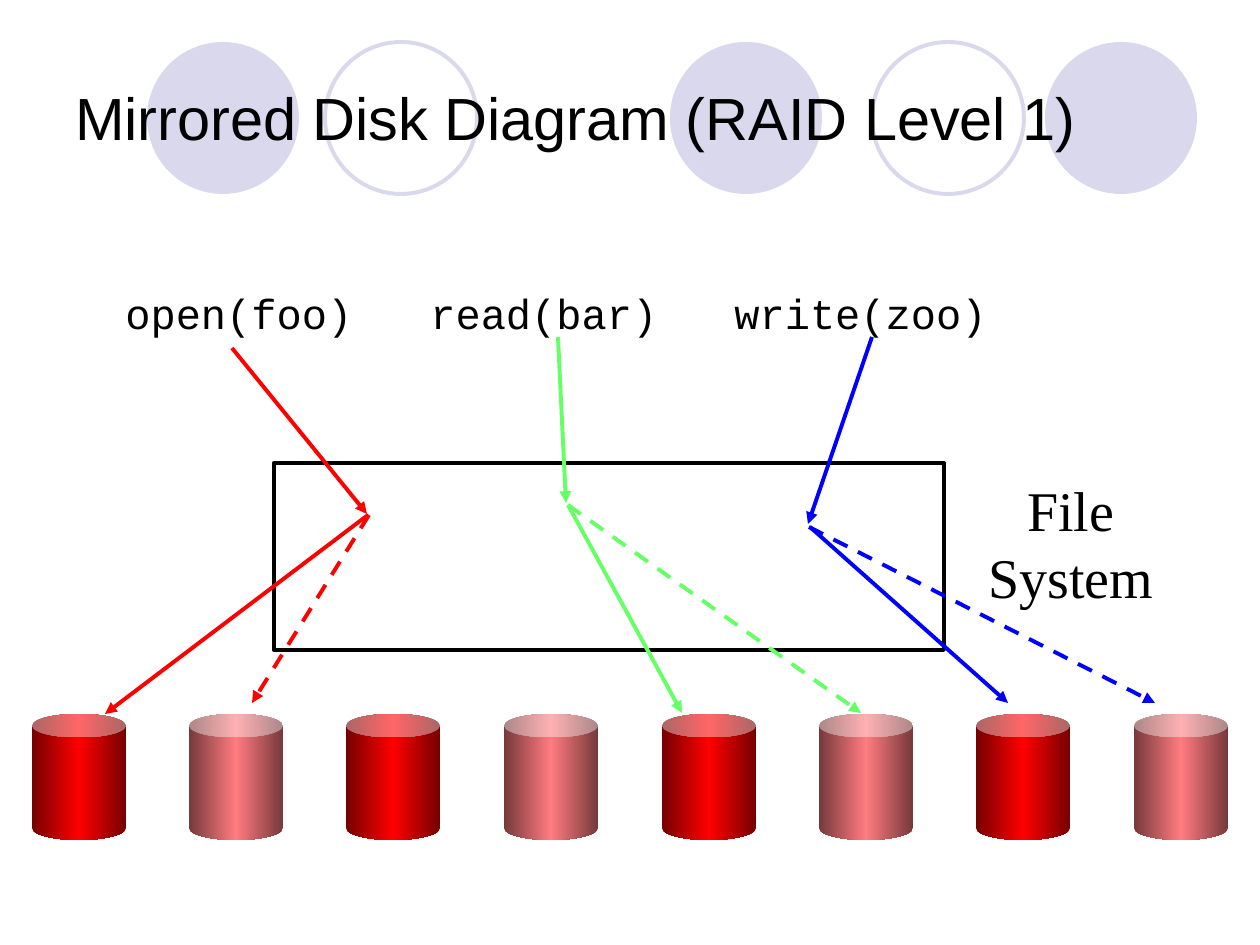
from typing import NamedTuple
from copy import deepcopy

from lxml import etree
from pptx import Presentation
from pptx.dml.color import RGBColor
from pptx.enum.dml import MSO_LINE
from pptx.enum.shapes import MSO_CONNECTOR, MSO_SHAPE
from pptx.enum.text import MSO_ANCHOR, MSO_AUTO_SIZE, PP_ALIGN
from pptx.oxml.ns import qn
from pptx.util import Pt

PX = 914400 / 126
OVAL, RECT, CAN = MSO_SHAPE.OVAL, MSO_SHAPE.RECTANGLE, MSO_SHAPE.CAN
STRAIGHT, DASH = MSO_CONNECTOR.STRAIGHT, MSO_LINE.DASH
LEFT, CENTER = PP_ALIGN.LEFT, PP_ALIGN.CENTER
TOP, MIDDLE = MSO_ANCHOR.TOP, MSO_ANCHOR.MIDDLE
FIT, FIXED = MSO_AUTO_SIZE.SHAPE_TO_FIT_TEXT, MSO_AUTO_SIZE.NONE
WEIGHT = Pt(2.25)

COLORS = {
    "black": "000000",
    "lilac": "D9D8EC",
    "red": "FF0000",
    "green": "66FF66",
    "blue": "0000FF",
    "maroon": "760000",
    "pink": "FF7C80",
    "plum": "76393B",
}


class Ring(NamedTuple):
    left: int
    solid: bool


class Call(NamedTuple):
    text: str
    left: int
    width: int


class Arrow(NamedTuple):
    color: str
    start: tuple[int, int]
    end: tuple[int, int]
    dashed: bool = False


RINGS = [Ring(670, True), Ring(1045, True), Ring(147, True),
         Ring(872, False), Ring(325, False)]

CALLS = [Call("open(foo)", 113, 252), Call("read(bar)", 418, 252),
         Call("write(zoo)", 722, 277)]

ARROWS = [
    Arrow("red", (232, 348), (367, 514)),
    Arrow("green", (558, 337), (566, 503)),
    Arrow("blue", (872, 337), (808, 524)),
    Arrow("red", (368, 515), (105, 714)),
    Arrow("red", (369, 515), (252, 703), True),
    Arrow("green", (568, 505), (682, 713)),
    Arrow("green", (568, 505), (861, 713), True),
    Arrow("blue", (809, 527), (1155, 703), True),
    Arrow("blue", (810, 527), (1008, 703)),
]


def px(size: int) -> int:
    return round(size * PX)


def tint(name: str) -> RGBColor:
    return RGBColor.from_string(COLORS[name])


def add_form(slide, kind, left: int, top: int, width: int, height: int,
             fill: str = "", line: str = ""):
    form = slide.shapes.add_shape(kind, px(left), px(top), px(width), px(height))
    form.shadow.inherit = False
    if fill:
        form.fill.solid()
        form.fill.fore_color.rgb = tint(fill)
    else:
        form.fill.background()
    if line:
        form.line.color.rgb = tint(line)
        form.line.width = WEIGHT
    else:
        form.line.fill.background()
    return form


def add_text(slide, text: str, *, left: int, top: int, width: int, height: int,
             font: str, size: int, align=LEFT, anchor=TOP, wrap: bool = False) -> None:
    box = slide.shapes.add_textbox(px(left), px(top), px(width), px(height))
    frame = box.text_frame
    frame.word_wrap = wrap
    frame.auto_size = FIXED if wrap else FIT
    frame.vertical_anchor = anchor
    frame.text = text
    for para in frame.paragraphs:
        para.alignment = align
        para.font.name = font
        para.font.size = Pt(size)
        para.font.color.rgb = tint("black")


def add_arrow(slide, arrow: Arrow) -> None:
    ends = [px(n) for n in arrow.start + arrow.end]
    link = slide.shapes.add_connector(STRAIGHT, *ends)
    link.line.color.rgb = tint(arrow.color)
    link.line.width = WEIGHT
    if arrow.dashed:
        link.line.dash_style = DASH
    props = link._element.spPr
    etree.SubElement(props.find(qn("a:ln")), qn("a:tailEnd"), type="triangle")
    etree.SubElement(props, qn("a:effectLst"))


def add_disk(slide, left: int, edge: str, core: str) -> None:
    disk = add_form(slide, CAN, left, 714, 94, 126)
    disk.adjustments[0] = 0.25
    disk.fill.gradient()
    disk.fill.gradient_angle = 0
    stops = disk._element.spPr.find(qn("a:gradFill")).find(qn("a:gsLst"))
    stops.append(deepcopy(stops[-1]))
    shades = [(0, edge), (0.5, core), (1, edge)]
    for stop, (place, name) in zip(disk.fill.gradient_stops, shades):
        stop.position = place
        stop.color.rgb = tint(name)


def main() -> None:
    deck = Presentation()
    deck.slide_width, deck.slide_height = px(1260), px(945)
    slide = deck.slides.add_slide(deck.slide_layouts[6])

    for ring in RINGS:
        look = {"fill" if ring.solid else "line": "lilac"}
        add_form(slide, OVAL, ring.left, 42, 152, 152, **look)
    add_text(slide, "Mirrored Disk Diagram (RAID Level 1)", left=63, top=38,
             width=1134, height=158, font="Arial", size=34, anchor=MIDDLE, wrap=True)

    add_form(slide, RECT, 274, 463, 670, 187, line="black")
    for call in CALLS:
        add_text(slide, call.text, left=call.left, top=281, width=call.width,
                 height=63, font="Courier New", size=24)
    add_text(slide, "File\nSystem", left=976, top=469, width=190, height=146,
             font="Times New Roman", size=32, align=CENTER)

    for arrow in ARROWS:
        add_arrow(slide, arrow)
    for i in range(8):
        edge, core = ("plum", "pink") if i % 2 else ("maroon", "red")
        add_disk(slide, round(31.5 + 157.5 * i), edge, core)

    deck.save("out.pptx")


if __name__ == "__main__":
    main()
